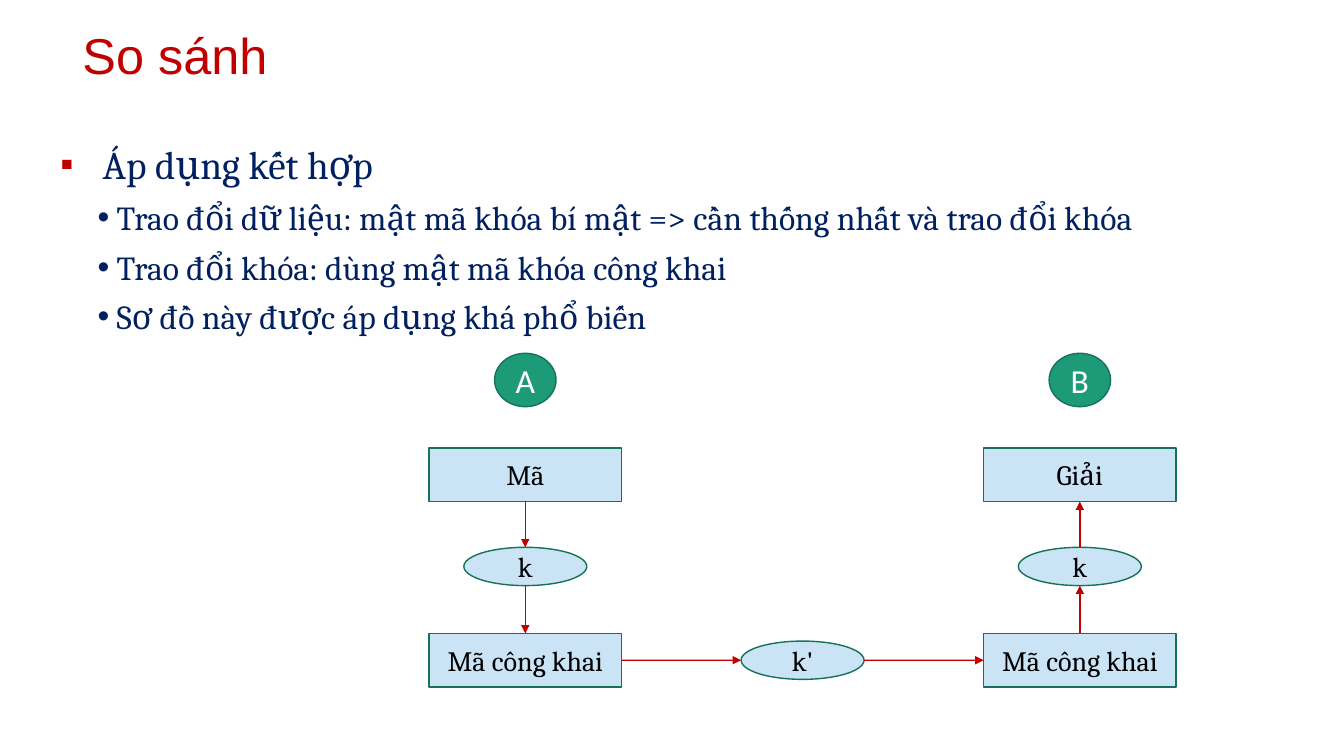
from dataclasses import dataclass

from lxml.etree import SubElement
from pptx import Presentation
from pptx.dml.color import RGBColor as Rgb
from pptx.enum.shapes import MSO_CONNECTOR as Link, MSO_SHAPE as Kind
from pptx.enum.text import MSO_ANCHOR as Anchor, PP_ALIGN as Align
from pptx.oxml.ns import qn
from pptx.util import Inches, Pt


@dataclass(frozen=True)
class Theme:
    red: str = "C00000"
    navy: str = "002060"
    pale: str = "CAE4F6"
    green: str = "1D9A78"
    edge: str = "157259"
    black: str = "000000"
    white: str = "FFFFFF"
    title_size: int = 36
    topic_size: int = 28
    point_size: int = 24
    party_size: int = 24
    step_size: int = 20
    line_width: float = 1


THEME = Theme()
WIDTH, HEIGHT = 13.33, 7.5

# Diagram grid: centres of columns and rows, in inches
COLUMNS = [5.21 + 2.75 * i for i in range(3)]
ROWS = [3.77, 4.71, 5.62, 6.55]
TOP, LEFT, BOTTOM, RIGHT = range(4)

# Node styles: preset, size, fill, font, type size, text colour
PARTY = (Kind.OVAL, (0.61, 0.53), THEME.green, "Calibri", THEME.party_size, THEME.white)
STEP = (Kind.RECTANGLE, (1.91, 0.53), THEME.pale, "Cambria", THEME.step_size, THEME.black)
KEY = (Kind.OVAL, (1.22, 0.38), THEME.pale, "Cambria", THEME.step_size, THEME.black)

TOPIC = "Áp dụng kết hợp"
POINTS = [
    "Trao đổi dữ liệu: mật mã khóa bí mật => cần thống nhất và trao đổi khóa",
    "Trao đổi khóa: dùng mật mã khóa công khai",
    "Sơ đồ này được áp dụng khá phổ biến",
]
NODES = {  # name: (text, style, column, row)
    "sender": ("A", PARTY, 0, 0),
    "encrypt": ("Mã", STEP, 0, 1),
    "sender key": ("k", KEY, 0, 2),
    "sender public": ("Mã công khai", STEP, 0, 3),
    "shared key": ("k'", KEY, 1, 3),
    "receiver": ("B", PARTY, 2, 0),
    "decrypt": ("Giải", STEP, 2, 1),
    "receiver key": ("k", KEY, 2, 2),
    "receiver public": ("Mã công khai", STEP, 2, 3),
}
ARROWS = [  # from, side, to, side
    ("encrypt", BOTTOM, "sender key", TOP),
    ("sender key", BOTTOM, "sender public", TOP),
    ("sender public", RIGHT, "shared key", LEFT),
    ("shared key", RIGHT, "receiver public", LEFT),
    ("receiver public", TOP, "receiver key", BOTTOM),
    ("receiver key", TOP, "decrypt", BOTTOM),
]


def write(paragraph, text, font, size, color, **layout):
    """Fill a paragraph with one styled run."""
    run = paragraph.add_run()
    run.text = text
    for name, value in {"name": font, "size": Pt(size)}.items():
        setattr(run.font, name, value)
    run.font.color.rgb = Rgb.from_string(color)
    for name, value in layout.items():
        setattr(paragraph, name, value)


def add_bullet(paragraph, mark, margin, hang, color, percent=100):
    """Give a paragraph a hanging bullet."""
    props = paragraph._p.get_or_add_pPr()
    props.set("marL", str(Inches(margin)))
    props.set("indent", str(-Inches(hang)))
    tint = SubElement(props, qn("a:buClr"))
    SubElement(tint, qn("a:srgbClr"), val=color)
    SubElement(props, qn("a:buSzPct"), val=str(percent * 1000))
    SubElement(props, qn("a:buFont"), typeface="Arial")
    SubElement(props, qn("a:buChar"), char=mark)


def add_text_frame(slide, left, top, width, height, anchor):
    """Add a wrapping text box, placed by shares of the slide."""
    box = slide.shapes.add_textbox(
        Inches(left * WIDTH), Inches(top * HEIGHT),
        Inches(width * WIDTH), Inches(height * HEIGHT))
    frame = box.text_frame
    for name, value in {"word_wrap": True, "vertical_anchor": anchor}.items():
        setattr(frame, name, value)
    return frame


def add_node(slide, text, style, column, row):
    """Add a diagram node centred on a grid point."""
    kind, (width, height), fill, font, size, color = style
    node = slide.shapes.add_shape(
        kind, Inches(COLUMNS[column] - width / 2), Inches(ROWS[row] - height / 2),
        Inches(width), Inches(height))
    node.shadow.inherit = False
    node.fill.solid()
    node.fill.fore_color.rgb = Rgb.from_string(fill)
    node.line.color.rgb = Rgb.from_string(THEME.edge)
    node.line.width = Pt(THEME.line_width)
    node.text_frame.vertical_anchor = Anchor.MIDDLE
    write(node.text_frame.paragraphs[0], text, font, size, color, alignment=Align.CENTER)
    return node


def side_point(node, side):
    """Return the middle of one side of a node."""
    across, down = {TOP: (1, 0), LEFT: (0, 1), BOTTOM: (1, 2), RIGHT: (2, 1)}[side]
    return node.left + node.width * across // 2, node.top + node.height * down // 2


def add_arrow(slide, source, source_side, target, target_side):
    """Add an arrow between two nodes, joined to rectangles."""
    arrow = slide.shapes.add_connector(
        Link.STRAIGHT, *side_point(source, source_side), *side_point(target, target_side))
    if source.auto_shape_type == Kind.RECTANGLE:
        arrow.begin_connect(source, source_side)
    if target.auto_shape_type == Kind.RECTANGLE:
        arrow.end_connect(target, target_side)
    arrow.line.color.rgb = Rgb.from_string(THEME.red)
    arrow.line.width = Pt(THEME.line_width)
    SubElement(arrow.line._get_or_add_ln(), qn("a:tailEnd"), type="triangle")
    SubElement(arrow._element.spPr, qn("a:effectLst"))


def main():
    deck = Presentation()
    deck.slide_width, deck.slide_height = Inches(WIDTH), Inches(HEIGHT)
    slide = deck.slides.add_slide(deck.slide_layouts[6])

    # Title
    heading = add_text_frame(slide, 0.054, 0.021, 0.926, 0.112, Anchor.MIDDLE)
    write(heading.paragraphs[0], "So sánh", "Arial", THEME.title_size, THEME.red,
          line_spacing=0.9)

    # Topic and its points
    body = add_text_frame(slide, 0.0375, 0.173, 0.943, 0.773, Anchor.TOP)
    topic = body.paragraphs[0]
    write(topic, TOPIC, "Cambria", THEME.topic_size, THEME.navy,
          line_spacing=1.1, space_before=Pt(7.5))
    add_bullet(topic, "▪", 0.42, 0.42, THEME.red, 95)
    for text in POINTS:
        point = body.add_paragraph()
        write(point, text, "Cambria", THEME.point_size, THEME.navy,
              level=1, line_spacing=1.1, space_before=Pt(3.8))
        add_bullet(point, "•", 0.56, 0.19, THEME.navy)

    # Key exchange diagram
    nodes = {name: add_node(slide, *node) for name, node in NODES.items()}
    for source, source_side, target, target_side in ARROWS:
        add_arrow(slide, nodes[source], source_side, nodes[target], target_side)

    deck.save("out.pptx")


if __name__ == "__main__":
    main()
